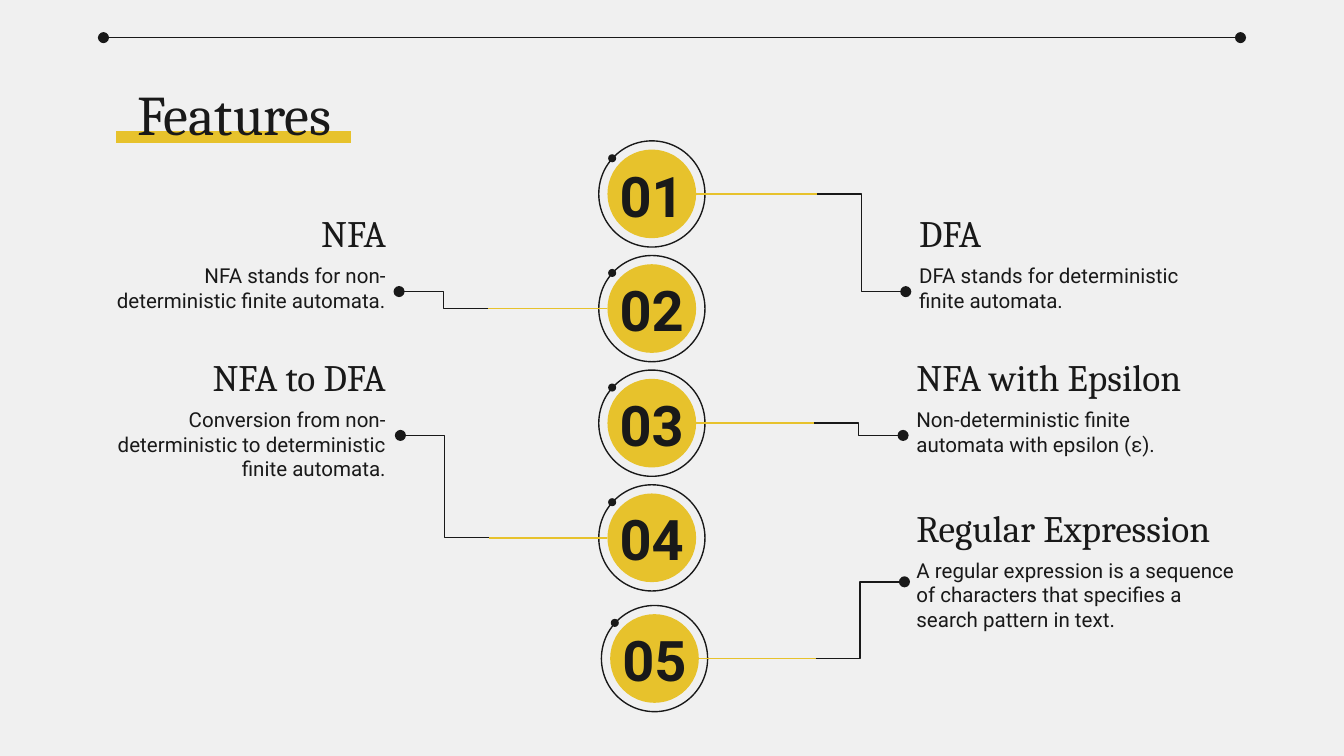
from dataclasses import dataclass

from lxml import etree
from pptx import Presentation
from pptx import util as u
from pptx.dml.color import RGBColor
from pptx.enum import shapes, text
from pptx.oxml import ns

LEFT, CENTER, RIGHT = text.PP_ALIGN.LEFT, text.PP_ALIGN.CENTER, text.PP_ALIGN.RIGHT
TOP, MIDDLE, BOTTOM = (text.MSO_ANCHOR.TOP, text.MSO_ANCHOR.MIDDLE,
                       text.MSO_ANCHOR.BOTTOM)


@dataclass(frozen=True)
class Theme:
    background: str = "F0F0F0"
    ink: str = "191919"
    accent: str = "E7C22C"
    serif: str = "Cambria"
    sans: str = "Roboto"
    display: int = 30
    heading: int = 20
    body: int = 11
    hairline: float = 0.75
    underline: float = 6


def cells(count):
    """Columns and rows are a tenth of an inch each."""
    return u.Inches(count / 10)


class SlideBuilder:
    def __init__(self, slide, theme):
        self.slide, self.theme = slide, theme
        fill = slide.background.fill
        fill.solid()
        fill.fore_color.rgb = RGBColor.from_string(theme.background)

    def label(self, words, box, size, font, align=LEFT, anchor=TOP, bold=False):
        shape = self.slide.shapes.add_textbox(*map(cells, box))
        frame = shape.text_frame
        frame.word_wrap = True
        frame.vertical_anchor = anchor
        frame.margin_left = frame.margin_right = cells(1)
        frame.margin_top = frame.margin_bottom = cells(1)
        frame.text = words
        paragraph = frame.paragraphs[0]
        paragraph.alignment = align
        style = paragraph.runs[0].font
        style.size, style.name, style.bold = u.Pt(size), font, bold
        style.color.rgb = RGBColor.from_string(self.theme.ink)

    def line(self, start, end, color, width=None, elbow=False, dots=()):
        kind = shapes.MSO_CONNECTOR.ELBOW if elbow else shapes.MSO_CONNECTOR.STRAIGHT
        connector = self.slide.shapes.add_connector(kind, *map(cells, (*start, *end)))
        connector.line.color.rgb = RGBColor.from_string(color)
        connector.line.width = u.Pt(width or self.theme.hairline)
        outline = connector.line._get_or_add_ln()
        for dot in dots:
            etree.SubElement(outline, ns.qn(f"a:{dot}"), type="oval")
        etree.SubElement(connector._element.spPr, ns.qn("a:effectLst"))

    def circle(self, group, center, diameter, fill=None):
        left, top = (value - diameter / 2 for value in center)
        shape = group.shapes.add_shape(
            shapes.MSO_SHAPE.OVAL, *map(cells, (left, top, diameter, diameter)))
        shape.shadow.inherit = False
        if fill:
            shape.fill.solid()
            shape.fill.fore_color.rgb = RGBColor.from_string(fill)
            shape.line.fill.background()
        else:
            shape.fill.background()
            shape.line.color.rgb = RGBColor.from_string(self.theme.ink)
            shape.line.width = u.Pt(self.theme.hairline)

    def badge(self, center):
        x, y = center
        group = self.slide.shapes.add_group_shape()
        self.circle(group, center, 7.9)
        self.circle(group, (x - 2.95, y - 2.65), 0.6, self.theme.ink)
        self.circle(group, center, 6.6, self.theme.accent)

    def branch(self, center, end):
        """Accent lead from the badge, then an elbow ending in a dot."""
        side = 1 if end[0] > center[0] else -1
        joint = (end[0] - side * 6.6, center[1])
        self.line((center[0] + side * 3.3, center[1]), joint, self.theme.accent)
        self.line(joint, end, self.theme.ink, elbow=True, dots=["tailEnd"])

    def feature(self, heading, body, left, top, widths, height, align):
        theme = self.theme
        self.label(heading, (left, top, widths[0], 4.2), theme.heading,
                   theme.serif, align, BOTTOM)
        self.label(body, (left, top + 2.8, widths[1], height), theme.body,
                   theme.sans, align)


# Slide
presentation = Presentation()
presentation.slide_width, presentation.slide_height = cells(100), cells(56.25)
theme = Theme()
builder = SlideBuilder(
    presentation.slides.add_slide(presentation.slide_layouts[6]), theme)

# Title and top rule
builder.line((8.65, 10.2), (26.1, 10.2), theme.accent, theme.underline)
builder.label("Features", (7.9, 4.9, 19.1, 6.3), theme.display, theme.serif, CENTER)
builder.line((7.7, 2.8), (92.3, 2.8), theme.ink, dots=["headEnd", "tailEnd"])

# Features: heading, body, left, top, heading and body widths, body height, side
features = [
    ("NFA", "NFA stands for non-deterministic finite automata.",
     6.3, 15.8, (23.4, 23.4), 6.3, RIGHT),
    ("NFA to DFA",
     "Conversion from non-deterministic to deterministic finite automata.",
     6.3, 26.5, (23.4, 23.4), 6.3, RIGHT),
    ("DFA", "DFA stands for deterministic finite automata.",
     67.4, 15.8, (23.4, 23.4), 6.3, LEFT),
    ("NFA with Epsilon", "Non-deterministic finite automata with epsilon (ε).",
     67.2, 26.5, (29.9, 23.6), 6.3, LEFT),
    ("Regular Expression",
     "A regular expression is a sequence of characters that specifies "
     "a search pattern in text.",
     67.2, 37.7, (27.5, 26.4), 8.4, LEFT),
]
for feature in features:
    builder.feature(*feature)

# Numbered badges: four evenly spaced, the last one slightly offset
centers = [(48.5, 14.43 + 8.53 * step) for step in range(4)] + [(48.7, 49)]
ends = [(67.4, 21.7), (29.7, 21.7), (67.2, 32.4), (29.8, 32.4), (67.3, 43.3)]
for number, (center, end) in enumerate(zip(centers, ends), start=1):
    builder.badge(center)
    builder.branch(center, end)
    builder.label(f"{number:02}", (center[0] - 4, center[1] - 2.4, 8, 4.9),
                  theme.display, theme.sans, CENTER, MIDDLE, bold=True)

presentation.save("out.pptx")
